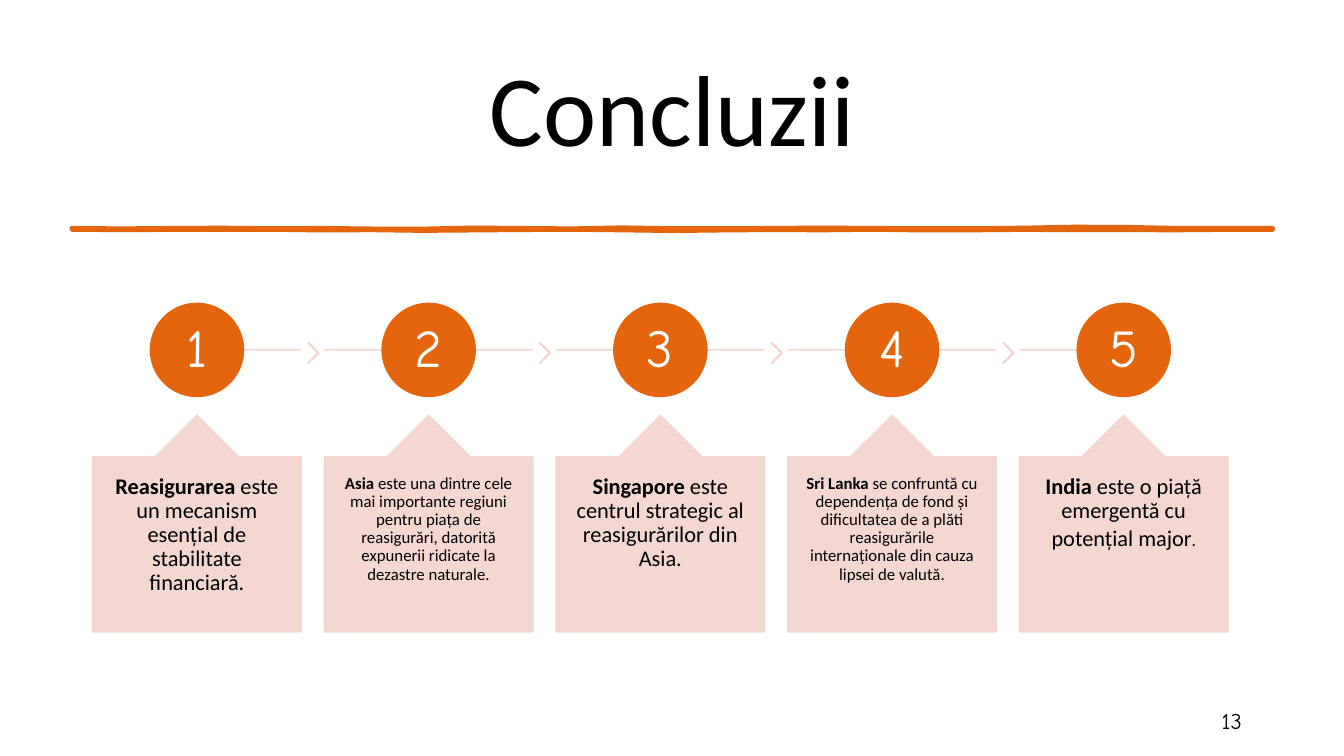
"""Build the conclusions slide: a title, a brushed rule and five numbered steps."""
from lxml.etree import SubElement
from pptx import Presentation
from pptx.dml.color import RGBColor
from pptx.enum.shapes import MSO_CONNECTOR, MSO_SHAPE
from pptx.enum.text import MSO_ANCHOR, MSO_AUTO_SIZE, PP_ALIGN
from pptx.oxml.ns import qn
from pptx.util import Pt

COLORS = {"accent": "E4650E", "pale": "F5D3CC", "ink": "000000", "white": "FFFFFF"}
BODY_FONT = "Calibri"
NUMBER_FONT = "Comic Neue"

STEPS = [
    ("Reasigurarea ", "este un mecanism esențial de stabilitate financiară.", 16),
    ("Asia ", "este una dintre cele mai importante regiuni pentru piața de reasigurări, "
              "datorită expunerii ridicate la dezastre naturale.", 12),
    ("Singapore ", "este centrul strategic al reasigurărilor din Asia.", 16),
    ("Sri Lanka ", "se confruntă cu dependența de fond și dificultatea de a plăti "
                   "reasigurările internaționale din cauza lipsei de valută.", 12),
    ("India ", "este o piață emergentă cu potențial major", 16),
]

STEPS_LEFT = 66.2
STEP_PITCH = 165.5
CARD_WIDTH = 149
CIRCLE_SIZE = 66.5
CIRCLE_TOP = 216.7
LINE_Y = CIRCLE_TOP + CIRCLE_SIZE / 2

RULE_LEFT, RULE_RIGHT, RULE_Y = 51.1, 909.4, 163.5
UPPER_WAVE = [0, .3, 0, -.2, .2, 0, .4, .5, -.3, 0, .3, -.4, .2,
              .2, 0, -.3, 0, .1, .2, -.2, -.9, -.8, -.1, 0, 0]
LOWER_WAVE = [0, .3, .1, 0, 0, .5, .3, .8, .5, .2, 0, .4, .9,
              .5, .2, .4, 0, .5, .4, .1, .3, .2, .4, .1, 0]


def color(name):
    """Return a palette colour."""
    return RGBColor.from_string(COLORS[name])


def set_alpha(paint, percent):
    """Make a solid fill element of a shape or line partly opaque."""
    for srgb in paint.iter(qn("a:srgbClr")):
        SubElement(srgb, qn("a:alpha")).set("val", str(percent * 1000))


def add_text(frame, text, *, size, font=BODY_FONT, ink="ink", bold=False,
             align=PP_ALIGN.CENTER, spacing=1.0):
    """Append a formatted run to the first paragraph of a text frame."""
    paragraph = frame.paragraphs[0]
    paragraph.alignment = align
    paragraph.line_spacing = spacing
    run = paragraph.add_run()
    run.text = text
    run.font.size = Pt(size)
    run.font.name = font
    run.font.bold = bold
    run.font.color.rgb = color(ink)


def prepare_frame(frame, *, anchor, inset_x, inset_y):
    """Set wrapping, anchoring and insets of a text frame."""
    frame.word_wrap = True
    frame.auto_size = MSO_AUTO_SIZE.NONE
    frame.vertical_anchor = anchor
    frame.margin_left = frame.margin_right = Pt(inset_x)
    frame.margin_top = frame.margin_bottom = Pt(inset_y)
    return frame


def paint(figure, name, *, line_width=1, alpha=None):
    """Fill and outline a shape in one colour."""
    figure.shadow.inherit = False
    figure.fill.solid()
    figure.fill.fore_color.rgb = color(name)
    figure.line.color.rgb = color(name)
    figure.line.width = Pt(line_width)
    if alpha:
        set_alpha(figure.element.spPr, alpha)


def add_figure(slide, kind, left, top, width, height, name, *, adjustments=(), alpha=None):
    """Add a painted preset shape."""
    figure = slide.shapes.add_shape(kind, Pt(left), Pt(top), Pt(width), Pt(height))
    for index, value in enumerate(adjustments):
        figure.adjustments[index] = value
    paint(figure, name, alpha=alpha)
    return figure


def add_box(slide, left, top, width, height, **frame_format):
    """Add a text box and return its text frame."""
    box = slide.shapes.add_textbox(Pt(left), Pt(top), Pt(width), Pt(height))
    return prepare_frame(box.text_frame, **frame_format)


def add_title(slide):
    """Place and fill the title placeholder."""
    title = slide.shapes.title
    title.left, title.top, title.width, title.height = Pt(66.2), Pt(28.8), Pt(828), Pt(104.4)
    frame = prepare_frame(title.text_frame, anchor=MSO_ANCHOR.MIDDLE, inset_x=7.2, inset_y=3.6)
    add_text(frame, "Concluzii", size=72, spacing=0.9)


def add_brushed_rule(slide):
    """Draw the uneven rule under the title as a thin ribbon."""
    stride = (RULE_RIGHT - RULE_LEFT) / (len(UPPER_WAVE) - 1)
    upper = [(RULE_LEFT + i * stride, RULE_Y - 0.7 + dy) for i, dy in enumerate(UPPER_WAVE)]
    lower = [(RULE_LEFT + i * stride, RULE_Y + 0.7 + dy) for i, dy in enumerate(LOWER_WAVE)]
    outline = [(Pt(x), Pt(y)) for x, y in upper + lower[::-1]]
    builder = slide.shapes.build_freeform(*outline[0])
    builder.add_line_segments(outline[1:], close=True)
    rule = builder.convert_to_shape()
    paint(rule, "accent", line_width=2.75)
    SubElement(rule.line.fill._xPr, qn("a:round"))


def add_link(slide, start, end):
    """Draw a pale horizontal line at the height of the circles' centres."""
    link = slide.shapes.add_connector(
        MSO_CONNECTOR.STRAIGHT, Pt(start), Pt(LINE_Y), Pt(end), Pt(LINE_Y))
    link.line.color.rgb = color("pale")
    link.line.width = Pt(1)
    set_alpha(link.line.fill._xPr, 90)
    SubElement(link._element.spPr, qn("a:effectLst"))


def add_step(slide, index, topic, statement, size):
    """Add one numbered step with its link, circle and callout."""
    left = STEPS_LEFT + index * STEP_PITCH
    center, right = left + CARD_WIDTH / 2, left + CARD_WIDTH
    is_last = index == len(STEPS) - 1
    add_link(slide, center if index == 0 else left, center if is_last else right)
    if not is_last:
        add_figure(slide, MSO_SHAPE.CHEVRON, right + 4.6, 244.8, 7.9, 14.6, "pale",
                   adjustments=[0.9], alpha=90)

    circle = add_figure(slide, MSO_SHAPE.OVAL, center - CIRCLE_SIZE / 2, CIRCLE_TOP,
                        CIRCLE_SIZE, CIRCLE_SIZE, "accent")
    number = prepare_frame(circle.text_frame, anchor=MSO_ANCHOR.MIDDLE, inset_x=2.9, inset_y=2.9)
    add_text(number, str(index + 1), size=38, font=NUMBER_FONT, ink="white", spacing=0.9)

    add_figure(slide, MSO_SHAPE.UP_ARROW_CALLOUT, left, 296.6, CARD_WIDTH, 154.8, "pale",
               adjustments=[0.5, 0.2, 0.2, 1], alpha=90)
    card = add_box(slide, left, 326.2, CARD_WIDTH, 125.3,
                   anchor=MSO_ANCHOR.TOP, inset_x=11.7, inset_y=13)
    add_text(card, topic, size=size, bold=True, spacing=0.9)
    add_text(card, statement, size=size, spacing=0.9)
    if is_last:
        add_text(card, ".", size=19, font=NUMBER_FONT, spacing=0.9)


def add_page_number(slide):
    """Add the page number at the lower right."""
    frame = add_box(slide, 678.2, 500.4, 216, 28.8,
                    anchor=MSO_ANCHOR.MIDDLE, inset_x=7.2, inset_y=3.6)
    add_text(frame, "13", size=16, font=NUMBER_FONT, align=PP_ALIGN.RIGHT)


def main():
    """Build and save the slide."""
    deck = Presentation()
    deck.slide_width, deck.slide_height = Pt(960), Pt(540)
    slide = deck.slides.add_slide(deck.slide_layouts[5])
    add_brushed_rule(slide)
    add_title(slide)
    add_page_number(slide)
    for index, step in enumerate(STEPS):
        add_step(slide, index, *step)
    deck.save("out.pptx")


if __name__ == "__main__":
    main()
